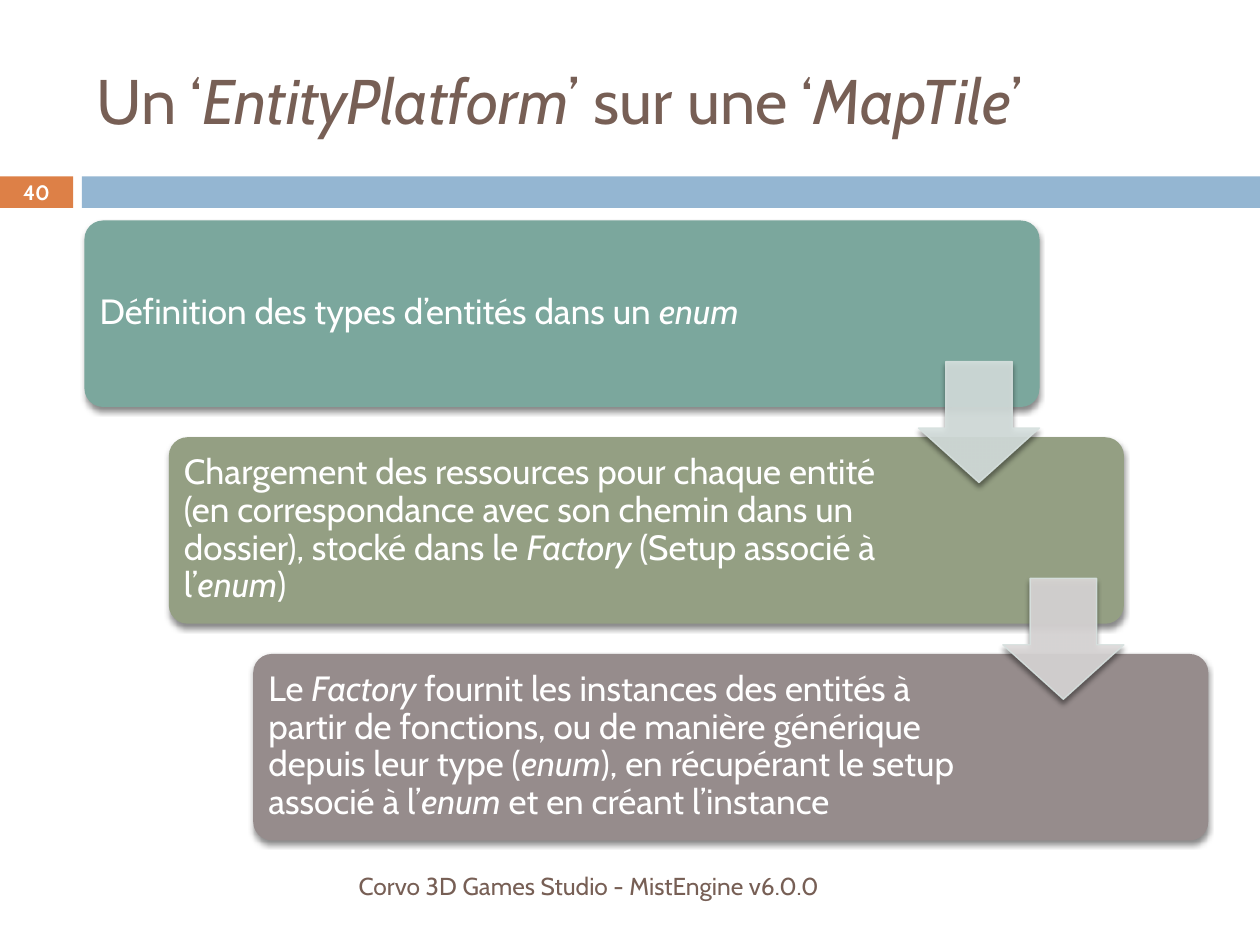
from lxml import etree
from pptx import Presentation
from pptx import util as u
from pptx.dml.color import RGBColor
from pptx.enum import shapes, text
from pptx.oxml import ns

Inches = u.Inches
BROWN = RGBColor(0x77, 0x5F, 0x55)
ORANGE = RGBColor(0xDD, 0x80, 0x47)
BLUE = RGBColor(0x94, 0xB6, 0xD2)
WHITE = RGBColor(0xFF, 0xFF, 0xFF)
TEAL = RGBColor(0x7B, 0xA7, 0x9D)
OLIVE = RGBColor(0x94, 0x9F, 0x83)
MAUVE = RGBColor(0x96, 0x8C, 0x8C)
PALE_TEAL = RGBColor(0xD7, 0xE1, 0xDF)
PALE_MAUVE = RGBColor(0xDD, 0xDA, 0xDA)

STEPS = [
    (TEAL, 5.99, "Définition des types d’entités dans un *enum*"),
    (OLIVE, 5.87, "Chargement des ressources pour chaque entité (en correspondance avec "
     "son chemin dans un dossier), stocké dans le *Factory* (Setup associé à l’*enum*)"),
    (MAUVE, 5.87, "Le *Factory* fournit les instances des entités à partir de fonctions, "
     "ou de manière générique depuis leur type (*enum*), en récupérant le setup "
     "associé à l’*enum* et en créant l’instance"),
]
ARROW_FILLS = [PALE_TEAL, PALE_MAUVE]


def add_text(slide, box, wording, size, color, align=text.PP_ALIGN.LEFT,
             bold=False, inset=(0.1, 0.05), spacing=1.0):
    """Place wrapped text in box, setting the parts between asterisks in italics."""
    frame = slide.shapes.add_textbox(*map(Inches, box)).text_frame
    across, down = map(Inches, inset)
    layout = {"word_wrap": True, "vertical_anchor": text.MSO_ANCHOR.MIDDLE,
              "margin_left": across, "margin_right": across,
              "margin_top": down, "margin_bottom": down}
    for name, value in layout.items():
        setattr(frame, name, value)
    paragraph = frame.paragraphs[0]
    paragraph.alignment = align
    paragraph.line_spacing = spacing
    for index, part in enumerate(wording.split("*")):
        if not part:
            continue
        run = paragraph.add_run()
        run.text = part
        look = {"name": "Cabin", "size": u.Pt(size), "bold": bold, "italic": index % 2 == 1}
        for name, value in look.items():
            setattr(run.font, name, value)
        run.font.color.rgb = color


def add_block(slide, kind, box, color, adjustments=()):
    """Place a plain filled shape without line or shadow."""
    block = slide.shapes.add_shape(kind, *map(Inches, box))
    for index, value in enumerate(adjustments):
        block.adjustments[index] = value
    block.fill.solid()
    block.fill.fore_color.rgb = color
    block.line.fill.background()
    block.shadow.inherit = False
    return block


def add_shadow(block):
    """Drop a soft black shadow below a block."""
    effects = block._element.spPr.find(ns.qn("a:effectLst"))
    shadow = etree.SubElement(effects, ns.qn("a:outerShdw"), blurRad=str(u.Pt(3)),
                              dist=str(u.Pt(2.4)), dir="5400000", rotWithShape="0")
    black = etree.SubElement(shadow, ns.qn("a:srgbClr"), val="000000")
    etree.SubElement(black, ns.qn("a:alpha"), val="45000")


def add_step(slide, box, color, text_width, wording):
    """Place one rounded step with its text."""
    left, top, _, height = box
    add_shadow(add_block(slide, shapes.MSO_SHAPE.ROUNDED_RECTANGLE, box, color, [0.1]))
    add_text(slide, (left + 0.04, top + 0.04, text_width, height - 0.09), wording,
             20, WHITE, inset=(0.08, 0.08), spacing=0.9)


def add_arrow(slide, box, color):
    """Place one translucent arrow leading to the next step."""
    arrow = add_block(slide, shapes.MSO_SHAPE.DOWN_ARROW, box, color, [0.55, 0.45])
    arrow.line.color.rgb = PALE_TEAL
    arrow.line.width = u.Pt(0.79)
    for tint in arrow._element.spPr.iter(ns.qn("a:srgbClr")):
        etree.SubElement(tint, ns.qn("a:alpha"), val="90000")
    add_shadow(arrow)


def add_staircase(slide, box):
    """Place the descending steps and the arrows between them."""
    left, top, width, height = box
    step_width, step_height, arrow_size = 7.58, 1.48, 0.96
    shift = (width - step_width) / (len(STEPS) - 1)
    drop = (height - step_height) / (len(STEPS) - 1)
    for index, step in enumerate(STEPS):
        add_step(slide, (left + index * shift, top + index * drop, step_width, step_height), *step)
    for index, color in enumerate(ARROW_FILLS):
        add_arrow(slide, (left + index * shift + step_width - arrow_size,
                          top + index * drop + 1.12, arrow_size, arrow_size), color)


def add_band(slide, box, number):
    """Place the page number tab and the coloured band beside it."""
    left, top, width, height = box
    tab, gap = 0.58, 0.07
    rectangle = shapes.MSO_SHAPE.RECTANGLE
    add_block(slide, rectangle, (left, top, tab, height), ORANGE)
    add_block(slide, rectangle, (left + tab + gap, top, width - tab - gap, height), BLUE)
    add_text(slide, (left, top - 0.01, tab, height + 0.02), number, 11.9, WHITE,
             text.PP_ALIGN.CENTER, bold=True)


def main():
    """Build and save the slide."""
    deck = Presentation()
    deck.slide_width, deck.slide_height = Inches(10), Inches(7.5)
    slide = deck.slides.add_slide(deck.slide_layouts[6])
    add_band(slide, (0, 1.4, 10, 0.25), "40")
    add_text(slide, (0.67, 0.25, 8.92, 1.08),
             "Un ‘*EntityPlatform*’ sur une ‘*MapTile*’", 36, BROWN)
    add_text(slide, (0.67, 6.83, 5.93, 0.4), "Corvo 3D Games Studio - MistEngine v6.0.0",
             14, BROWN, text.PP_ALIGN.RIGHT)
    add_staircase(slide, (0.67, 1.75, 8.92, 4.92))
    deck.save("out.pptx")


if __name__ == "__main__":
    main()
